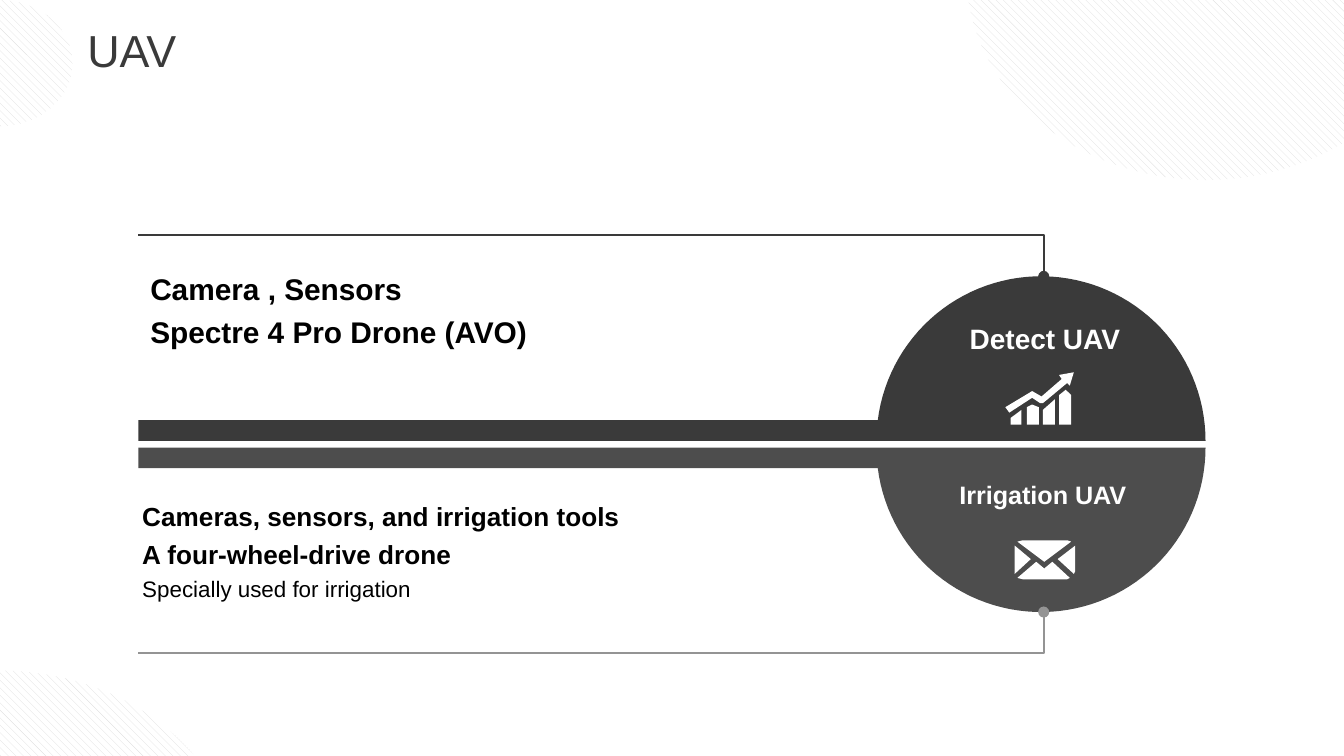
import math

from lxml import etree
from pptx import Presentation, util as u
from pptx.dml.color import RGBColor
from pptx.enum import dml, shapes, text
from pptx.oxml.ns import qn

WIDTH = 10
HEIGHT = WIDTH * 9 / 16
FONT = "Arial"
COLORS = {"detect": "3A3A3A", "irrigation": "4D4D4D", "lead": "949494",
          "hatch": "DDDDDD", "white": "FFFFFF", "black": "000000"}

# Icons: grid size, then the outlines on that grid
CHART_ICON = (51, 39), [
    [(4, 39), (12, 39), (12, 28), (4, 34)],
    [(16, 39), (25, 39), (25, 26), (20, 24), (16, 26)],
    [(28, 39), (37, 39), (37, 20), (28, 28)],
    [(40, 39), (49, 39), (49, 17), (45, 13), (40, 17)],
    [(0, 26), (20, 14), (27, 18), (42, 5), (40, 2), (51, 0), (48, 10),
     (46, 8), (28, 23), (26, 23), (20, 19), (3, 30)],
]
MAIL_ICON = (45, 29), [
    [(2, 1), (6, 0), (39, 0), (42, 1), (22, 16)],
    [(45, 4), (32, 14), (44, 25), (45, 23)],
    [(41, 28), (39, 29), (6, 29), (2, 28), (16, 16), (22, 21), (28, 16)],
    [(0, 25), (12, 14), (0, 4)],
]


def rgb(name):
    return RGBColor.from_string(COLORS[name])


def outline(slide, contours, close=True):
    """Freeform through contours given in inches."""
    paths = [[(u.Inches(x), u.Inches(y)) for x, y in points]
             for points in contours]
    builder = slide.shapes.build_freeform(*paths[0][0])
    for number, points in enumerate(paths):
        if number:
            builder.move_to(*points[0])
        builder.add_line_segments(points[1:], close=close)
    shape = builder.convert_to_shape()
    shape.shadow.inherit = False
    return shape


def filled(slide, contours, color):
    shape = outline(slide, contours)
    shape.fill.solid()
    shape.fill.fore_color.rgb = rgb(color)
    shape.line.fill.background()


def add_run(paragraph, words, size, color, bold=False):
    run = paragraph.add_run()
    run.text = words
    run.font.name = FONT
    run.font.size = u.Pt(size)
    run.font.bold = bold
    run.font.color.rgb = rgb(color)


def add_title(slide, box, words):
    title = slide.shapes.title
    title.left, title.top, title.width, title.height = map(u.Inches, box)
    frame = title.text_frame
    frame.vertical_anchor = text.MSO_ANCHOR.TOP
    frame.paragraphs[0].alignment = text.PP_ALIGN.LEFT
    add_run(frame.paragraphs[0], words, 24, "detect")


def add_hatched_ellipse(slide, box):
    ellipse = slide.shapes.add_shape(shapes.MSO_SHAPE.OVAL, *map(u.Inches, box))
    ellipse.shadow.inherit = False
    ellipse.fill.patterned()
    ellipse.fill.pattern = dml.MSO_PATTERN.WIDE_DOWNWARD_DIAGONAL
    ellipse.fill.fore_color.rgb = rgb("hatch")
    ellipse.fill.back_color.rgb = rgb("white")
    ellipse.line.fill.background()


def add_label(slide, box, words, size):
    label = slide.shapes.add_textbox(*map(u.Inches, box))
    frame = label.text_frame
    frame.word_wrap = False
    frame.margin_left = frame.margin_right = 0
    frame.margin_top = frame.margin_bottom = 0
    frame.paragraphs[0].alignment = text.PP_ALIGN.CENTER
    add_run(frame.paragraphs[0], words, size, "white", bold=True)


def add_caption(slide, box, lines):
    caption = slide.shapes.add_textbox(*map(u.Inches, box))
    frame = caption.text_frame
    frame.word_wrap = True
    for number, (words, size, bold) in enumerate(lines):
        paragraph = frame.add_paragraph() if number else frame.paragraphs[0]
        paragraph.line_spacing = 1.2
        add_run(paragraph, words, size, "black", bold)


def add_icon(slide, box, icon):
    left, top, width, height = box
    (columns, rows), contours = icon
    filled(slide, [[(left + x * width / columns, top + y * height / rows)
                    for x, y in points] for points in contours], "white")


def add_half(slide, box, upper, color, lead_color):
    """Half disc with its bar along the middle and its lead line outside."""
    left, top, width, height = box
    middle, outward = (top + height, -1) if upper else (top, 1)
    radius, bar = 0.8 * height, 0.1 * height
    center = left + width - radius
    start = math.asin(bar / radius)
    steps = 60
    angles = [start + (math.pi - start) * i / steps for i in range(steps + 1)]
    arc = [(center - radius * math.cos(a),
            middle + outward * radius * math.sin(a)) for a in angles]
    filled(slide, [[(left, middle), (left, middle + outward * bar)] + arc], color)

    # Lead line with a dot where it meets the disc
    lead_x = center + 0.02
    edge = middle + outward * height
    lead = outline(slide, [[(left, edge), (lead_x, edge),
                            (lead_x, middle + outward * radius)]], close=False)
    lead.fill.background()
    lead.line.color.rgb = rgb(lead_color)
    lead.line.width = u.Pt(1)
    etree.SubElement(lead.line._get_or_add_ln(), qn("a:tailEnd"), type="oval")


def main():
    deck = Presentation()
    deck.slide_width, deck.slide_height = u.Inches(WIDTH), u.Inches(HEIGHT)
    slide = deck.slides.add_slide(deck.slide_layouts[5])

    # Title and hatched corners
    for corner in ((7.19, -1.74, 3.57, 3.08), (-0.55, 0, 1.09, 0.94),
                   (-1.78, 4.99, 3.57, 3.08)):
        add_hatched_ellipse(slide, corner)
    add_title(slide, (0.55, 0.12, 2.33, 0.51), "UAV")

    # Detection half
    add_half(slide, (1.03, 1.75, 7.94, 1.53), True, "detect", "detect")
    add_label(slide, (7.21, 2.39, 1.13, 0.25), "Detect UAV", 15)
    add_icon(slide, (7.48, 2.77, 0.51, 0.39), CHART_ICON)
    add_caption(slide, (1.02, 1.91, 4.36, 0.72),
                [("Camera , Sensors", 16, True),
                 ("Spectre 4 Pro Drone (AVO)", 16, True)])

    # Irrigation half
    add_half(slide, (1.03, 3.33, 7.94, 1.53), False, "irrigation", "lead")
    add_label(slide, (7.13, 3.57, 1.26, 0.23), "Irrigation UAV", 13.5)
    add_icon(slide, (7.55, 4.02, 0.45, 0.29), MAIL_ICON)
    add_caption(slide, (0.96, 3.63, 4.01, 0.89),
                [("Cameras, sensors, and irrigation tools", 14, True),
                 ("A four-wheel-drive drone", 14, True),
                 ("Specially used for irrigation", 12, False)])

    deck.save("out.pptx")


if __name__ == "__main__":
    main()
